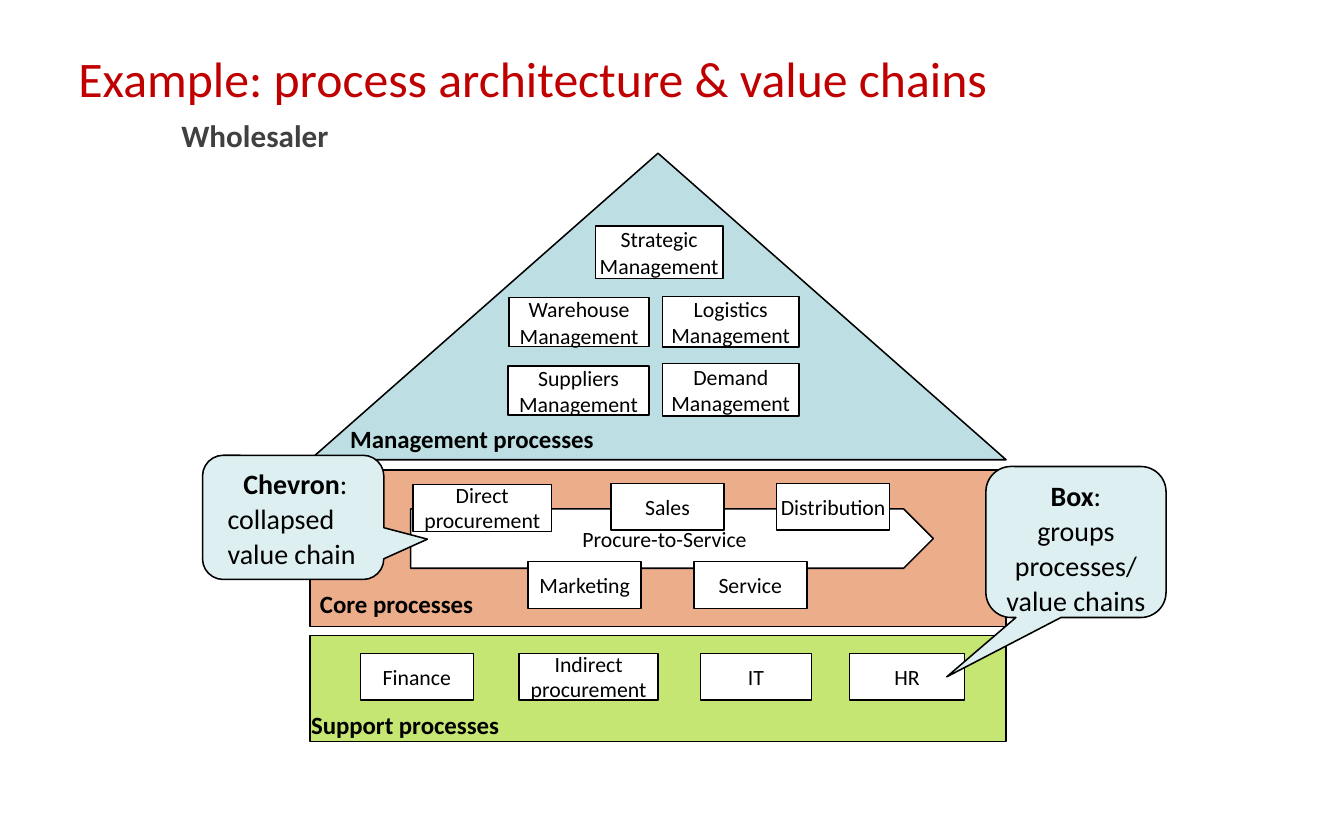
from dataclasses import dataclass

from pptx import Presentation
from pptx.dml.color import RGBColor
from pptx.enum.shapes import MSO_SHAPE
from pptx.enum.text import MSO_ANCHOR, MSO_AUTO_SIZE, PP_ALIGN
from pptx.util import Pt

PX = 9144
FONT = "Calibri"
BLACK, WHITE, RED, GREY = "000000", "FFFFFF", "C00000", "404040"
TEAL, ORANGE, GREEN, PALE = "BDDFE3", "ECAD8A", "C5E672", "DEEFF1"
TRIANGLE = MSO_SHAPE.ISOSCELES_TRIANGLE
RECTANGLE = MSO_SHAPE.RECTANGLE
CHEVRON = MSO_SHAPE.PENTAGON
CALLOUT = MSO_SHAPE.ROUNDED_RECTANGULAR_CALLOUT
TOP, MIDDLE = MSO_ANCHOR.TOP, MSO_ANCHOR.MIDDLE
LEFT, CENTER = PP_ALIGN.LEFT, PP_ALIGN.CENTER
NO_AUTOFIT = MSO_AUTO_SIZE.NONE


@dataclass
class Area:
    left: int
    top: int
    width: int
    height: int

    def emu(self) -> list[int]:
        return [v * PX for v in (self.left, self.top, self.width, self.height)]


@dataclass
class Band:
    kind: int
    area: Area
    fill: str
    label: str
    label_area: Area


@dataclass
class Process:
    name: str
    area: Area
    pitch: int = 17


@dataclass
class Note:
    heading: str
    body: str
    area: Area
    tip: tuple[int, int]
    body_align: int
    side_margins: tuple[int, int]


BANDS = [
    Band(TRIANGLE, Area(277, 137, 622, 274), TEAL,
         "Management processes", Area(313, 379, 240, 29)),
    Band(RECTANGLE, Area(277, 420, 622, 140), ORANGE,
         "Core processes", Area(286, 526, 200, 29)),
    Band(RECTANGLE, Area(277, 568, 622, 95), GREEN,
         "Support processes", Area(278, 634, 220, 29)),
]

MANAGEMENT = [
    Process("Strategic Management", Area(532, 202, 114, 47)),
    Process("Warehouse Management", Area(455, 266, 125, 44)),
    Process("Logistics Management", Area(592, 265, 122, 45)),
    Process("Suppliers Management", Area(454, 327, 126, 44)),
    Process("Demand Management", Area(592, 325, 122, 47)),
]

SUPPORT = [
    Process("Finance", Area(322, 584, 101, 42)),
    Process("Indirect procurement", Area(464, 584, 124, 42), 16),
    Process("IT", Area(626, 584, 99, 42)),
    Process("HR", Area(759, 584, 103, 42)),
]

CORE = [
    Process("Direct procurement", Area(369, 433, 124, 42), 16),
    *(Process(name, Area(472 + 74 * step, 502 if step % 2 == 0 else 432, 101, 42))
      for step, name in enumerate(["Marketing", "Sales", "Service", "Distribution"])),
]

NOTES = [
    Note("Box", "groups processes/ value chains", Area(881, 417, 161, 135),
         (846, 605), CENTER, (0, 0)),
    Note("Chevron", "collapsed value chain", Area(181, 407, 162, 111),
         (382, 482), LEFT, (17, 13)),
]


def color(hex_value: str) -> RGBColor:
    return RGBColor.from_string(hex_value)


def apply(target, formats: dict) -> None:
    for name, value in formats.items():
        setattr(target, name, value)


def set_frame(frame, anchor, left: int = 0, top: int = 0, right: int = 0) -> None:
    apply(frame, {
        "word_wrap": True, "auto_size": NO_AUTOFIT, "vertical_anchor": anchor,
        "margin_left": left * PX, "margin_top": top * PX,
        "margin_right": right * PX, "margin_bottom": 0,
    })


def write(paragraph, text: str, size: int, hex_value: str = BLACK, bold: bool = False) -> None:
    run = paragraph.add_run()
    run.text = text
    apply(run.font, {"name": FONT, "size": Pt(size), "bold": bold})
    run.font.color.rgb = color(hex_value)


def draw_shape(slide, kind, area: Area, fill: str):
    shape = slide.shapes.add_shape(kind, *area.emu())
    shape.shadow.inherit = False
    shape.fill.solid()
    shape.fill.fore_color.rgb = color(fill)
    shape.line.color.rgb = color(BLACK)
    shape.line.width = Pt(1)
    return shape


def draw_band(slide, band: Band) -> None:
    draw_shape(slide, band.kind, band.area, band.fill)
    frame = slide.shapes.add_textbox(*band.label_area.emu()).text_frame
    set_frame(frame, TOP)
    write(frame.paragraphs[0], band.label, 16, bold=True)


def draw_process(slide, process: Process, kind=RECTANGLE) -> None:
    frame = draw_shape(slide, kind, process.area, WHITE).text_frame
    set_frame(frame, MIDDLE)
    paragraph = frame.paragraphs[0]
    apply(paragraph, {"alignment": CENTER, "line_spacing": Pt(process.pitch)})
    write(paragraph, process.name, 14)


def draw_note(slide, note: Note) -> None:
    area = note.area
    callout = draw_shape(slide, CALLOUT, area, PALE)
    callout.adjustments[0] = (note.tip[0] - area.left) / area.width - 0.5
    callout.adjustments[1] = (note.tip[1] - area.top) / area.height - 0.5
    frame = callout.text_frame
    left, right = note.side_margins
    set_frame(frame, TOP, left, 3, right)
    heading, body = frame.paragraphs[0], frame.add_paragraph()
    for paragraph, alignment in ((heading, CENTER), (body, note.body_align)):
        apply(paragraph, {"alignment": alignment, "line_spacing": Pt(22.5)})
    write(heading, note.heading, 18, bold=True)
    write(heading, ":", 18)
    write(body, note.body, 18)


def draw_title(slide) -> None:
    title = slide.shapes.title
    area = Area(70, 29, 900, 109)
    apply(title, dict(zip(("left", "top", "width", "height"), area.emu())))
    frame = title.text_frame
    set_frame(frame, TOP, top=14)
    headline, company = frame.paragraphs[0], frame.add_paragraph()
    apply(headline, {"alignment": LEFT})
    apply(company, {"alignment": LEFT, "space_before": Pt(5.5)})
    company._p.get_or_add_pPr().set("marL", str(92 * PX))
    write(headline, "Example: process architecture & value chains", 32, RED)
    write(company, "Wholesaler", 20, GREY, True)


def main() -> None:
    deck = Presentation()
    apply(deck, {"slide_width": 1201 * PX, "slide_height": 750 * PX})
    slide = deck.slides.add_slide(deck.slide_layouts[5])
    draw_title(slide)
    for band in BANDS:
        draw_band(slide, band)
    draw_process(slide, Process("Procure-to-Service", Area(367, 455, 467, 53)), CHEVRON)
    for process in MANAGEMENT + SUPPORT + CORE:
        draw_process(slide, process)
    for note in NOTES:
        draw_note(slide, note)
    deck.save("out.pptx")


if __name__ == "__main__":
    main()
